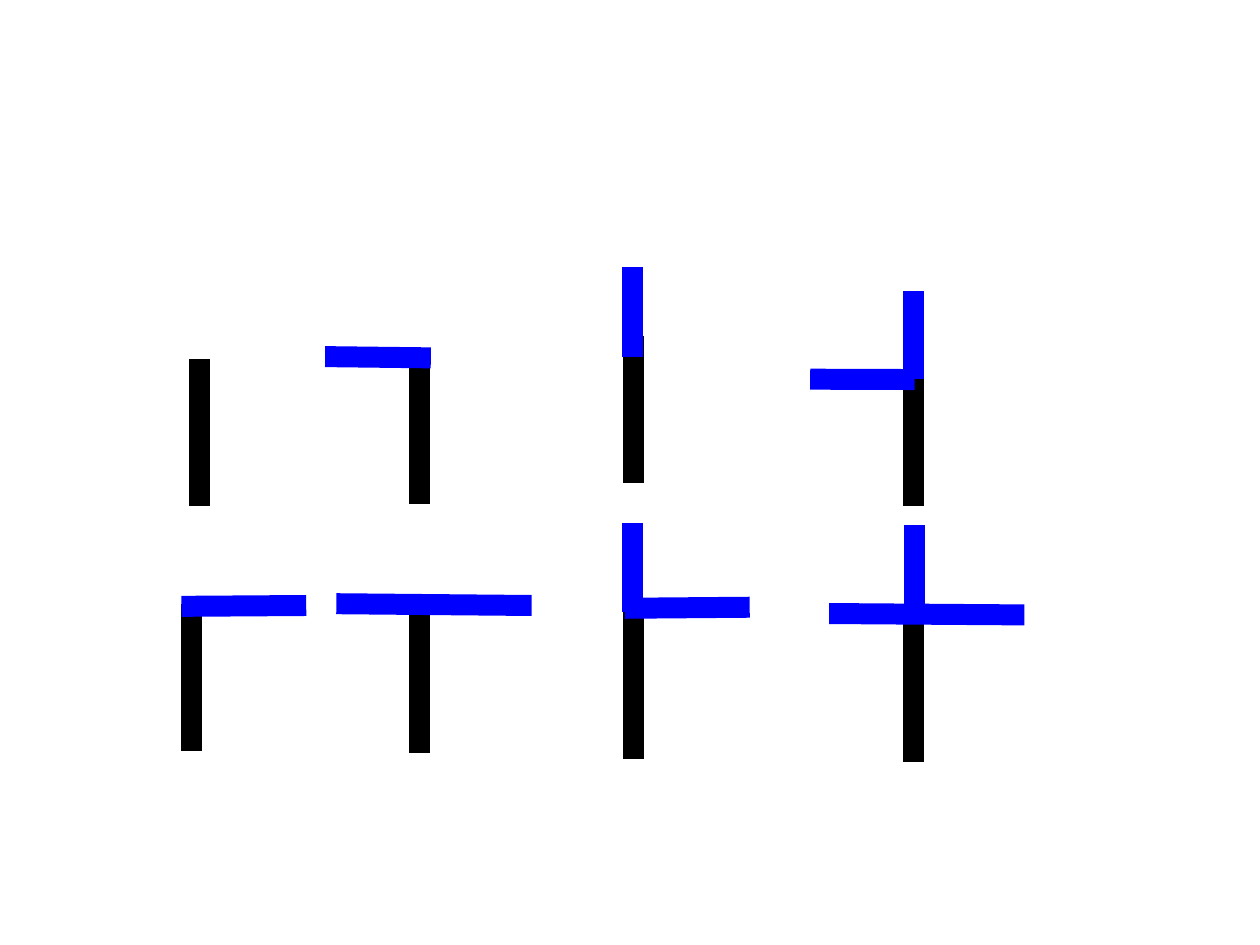
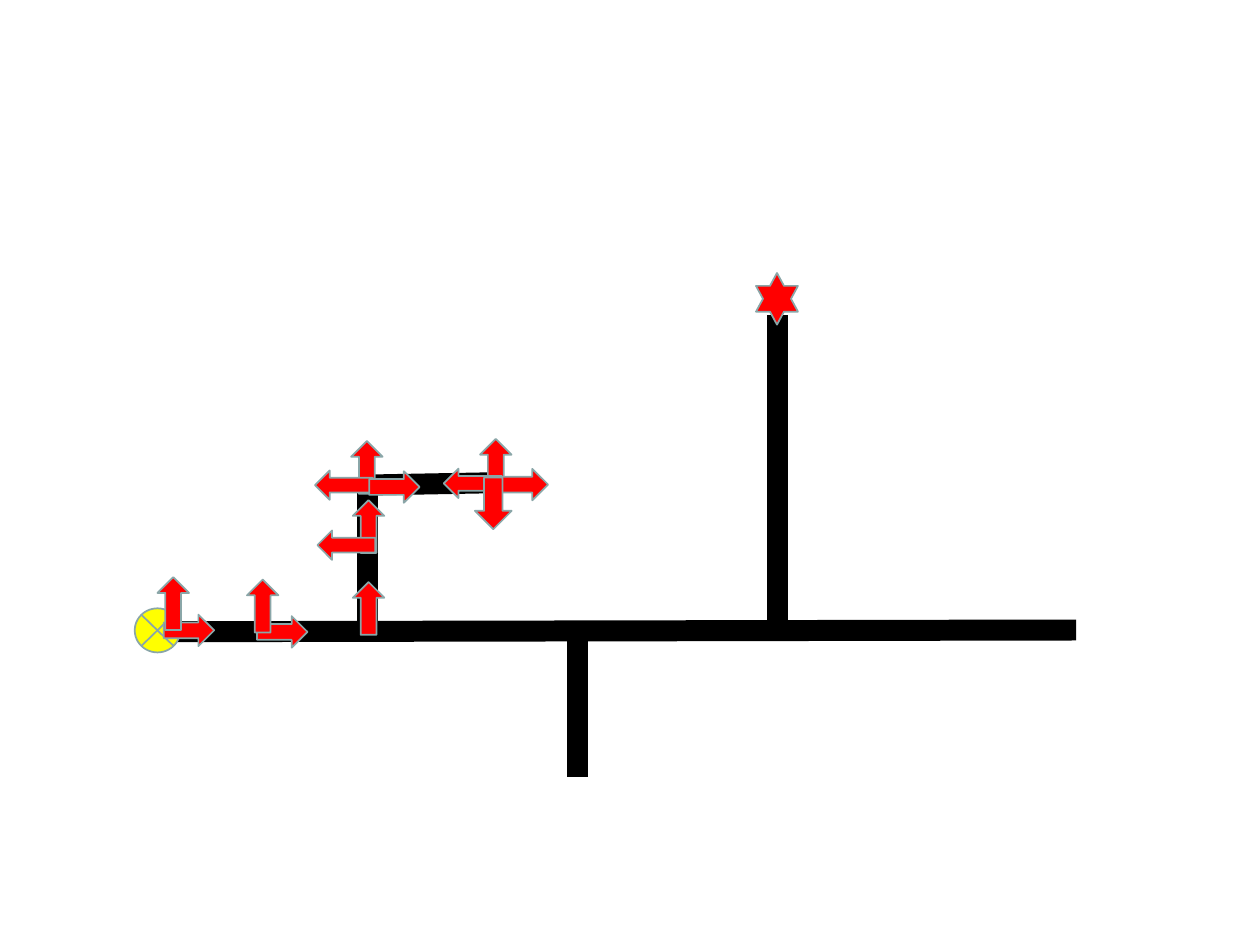
from pptx import Presentation
from pptx.dml.color import RGBColor
from pptx.enum.shapes import MSO_CONNECTOR, MSO_SHAPE
from pptx.oxml.ns import qn
from pptx.util import Pt
from lxml import etree

BLACK = RGBColor(0x00, 0x00, 0x00)
BLUE = RGBColor(0x00, 0x00, 0xFF)
RED = RGBColor(0xFF, 0x00, 0x00)
YELLOW = RGBColor(0xFF, 0xFF, 0x00)
OUTLINE = RGBColor(0x8A, 0xA6, 0xA8)

BAR_WIDTH = 12
STEM_LENGTH = 84
BLANK_LAYOUT = 6

# Each junction: top of its stem, then the ends of its arms
JUNCTIONS = [
    ((113.8, 205.2), []),
    ((239.8, 203.8), [(185.8, 203.8, 246.2, 204.5)]),
    ((362.2, 192.2), [(361.4, 152.6, 361.4, 203.8)]),
    ((522, 205.2), [(522, 166.3, 522, 216.7), (463, 216.7, 522.7, 216.9)]),
    ((109.4, 344.9), [(175, 346, 103.7, 346.5)]),
    ((239.8, 346.3), [(303.8, 346, 192.2, 345)]),
    ((362.2, 349.9), [(428.4, 347, 357.1, 347.6), (361.4, 298.8, 361.4, 349.9)]),
    ((522, 351.4), [(585.4, 351.4, 473.8, 350.6), (522.7, 300.2, 522.7, 351.4)]),
]

# Corridors of the maze
CORRIDORS = [
    (614.9, 360, 92.9, 361),
    (210.2, 277.2, 210.2, 361),
    (329.8, 360, 329.8, 444.2),
    (444.2, 180, 444.2, 360),
    (285.8, 275.8, 208.1, 277.2),
]

# Arrow kinds: preset shape, width, height
UP = (MSO_SHAPE.UP_ARROW, 18, 30.2)
RIGHT = (MSO_SHAPE.RIGHT_ARROW, 28.8, 18)
LEFT = (MSO_SHAPE.LEFT_ARROW, 33.1, 16.8)
DOWN = (MSO_SHAPE.DOWN_ARROW, 21, 29.5)

# Possible moves along the path: kind, left, top
MOVES = [
    (RIGHT, 93.6, 351.2), (UP, 90, 329.8),
    (RIGHT, 146.9, 352.1),
    (UP, 201.6, 332.6),
    (UP, 201.6, 285.8), (LEFT, 181.4, 303.1),
    (UP, 200.6, 252), (LEFT, 180, 268.8), (RIGHT, 211, 269.3),
    (UP, 141.1, 331.2),
    (UP, 274.3, 250.8), (LEFT, 253.6, 267.8), (RIGHT, 284.4, 267.9),
    (DOWN, 271.4, 272.9),
]


def add_bar(slide, ends, color):
    """Draw a thick straight bar between two points."""
    bar = slide.shapes.add_connector(
        MSO_CONNECTOR.STRAIGHT, *[Pt(value) for value in ends])
    bar.line.color.rgb = color
    bar.line.width = Pt(BAR_WIDTH)
    etree.SubElement(bar._element.spPr, qn("a:effectLst"))


def add_marker(slide, kind, left, top, color):
    """Draw a filled, outlined preset shape."""
    preset, width, height = kind
    marker = slide.shapes.add_shape(
        preset, Pt(left), Pt(top), Pt(width), Pt(height))
    marker.shadow.inherit = False
    marker.fill.solid()
    marker.fill.fore_color.rgb = color
    marker.line.color.rgb = OUTLINE
    marker.line.width = Pt(1)


def build_junctions(slide):
    for (x, top), arms in JUNCTIONS:
        add_bar(slide, (x, top, x, top + STEM_LENGTH), BLACK)
        for arm in arms:
            add_bar(slide, arm, BLUE)


def build_maze(slide):
    for corridor in CORRIDORS:
        add_bar(slide, corridor, BLACK)

    # Start and goal
    start = (MSO_SHAPE.FLOWCHART_SUMMING_JUNCTION, 26, 25.2)
    goal = (MSO_SHAPE.STAR_6_POINT, 24, 29.5)
    add_marker(slide, start, 77, 347.6, YELLOW)
    add_marker(slide, goal, 432, 156, RED)

    for kind, left, top in MOVES:
        add_marker(slide, kind, left, top, RED)


def main():
    presentation = Presentation()
    presentation.slide_width = Pt(720)
    presentation.slide_height = Pt(540)
    layout = presentation.slide_layouts[BLANK_LAYOUT]
    for build in (build_junctions, build_maze):
        build(presentation.slides.add_slide(layout))
    presentation.save("out.pptx")


if __name__ == "__main__":
    main()
